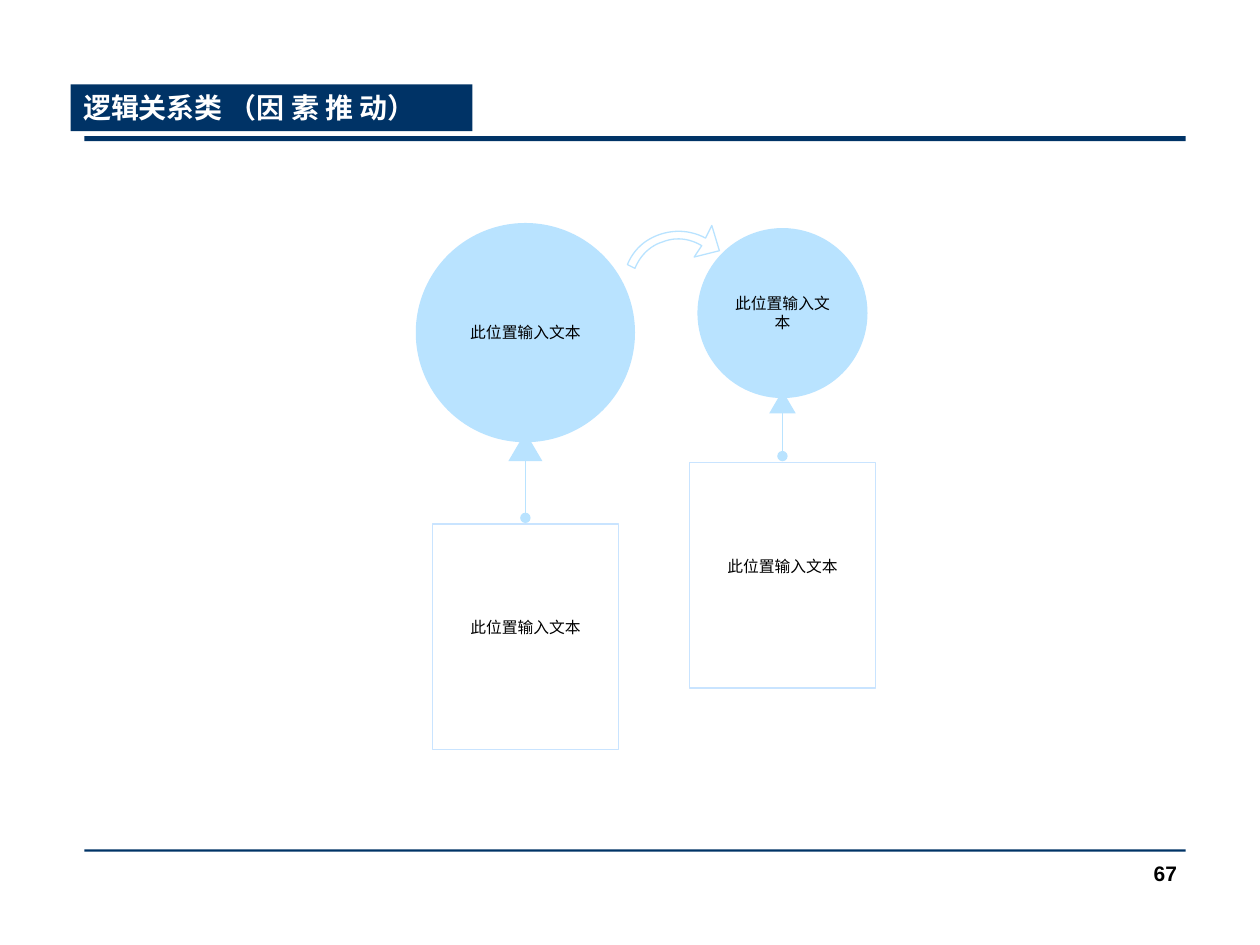
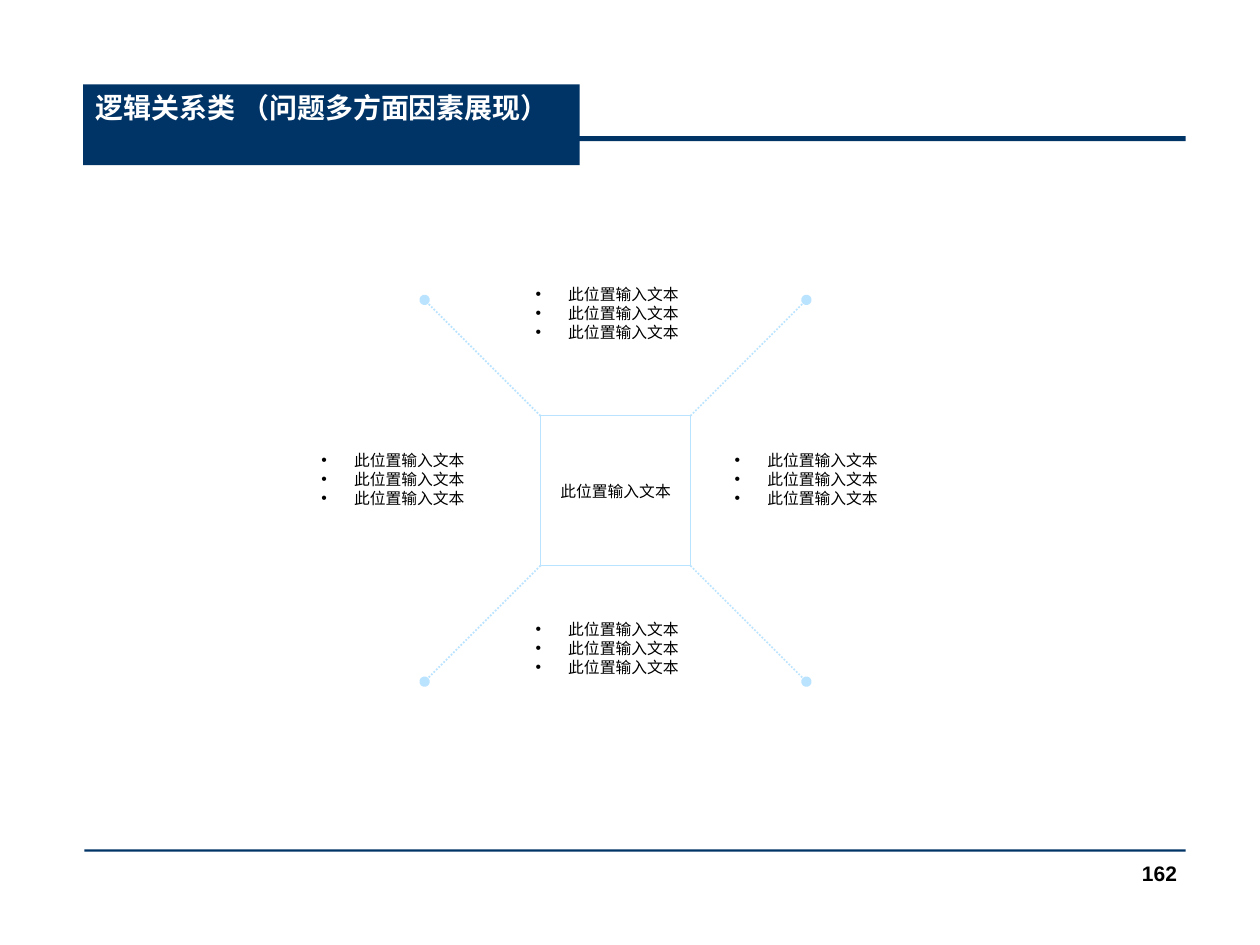
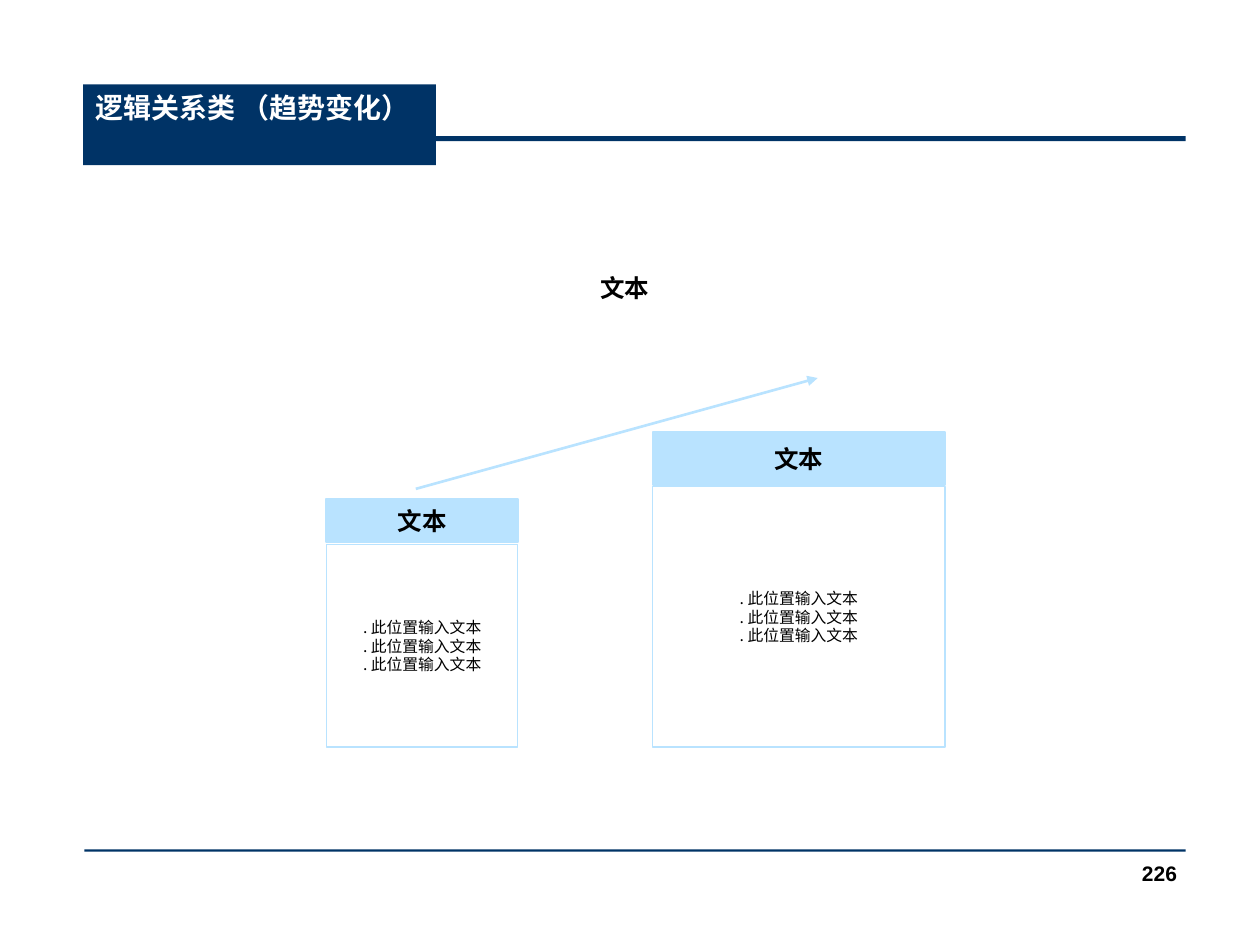
from pptx import Presentation
from pptx.dml.color import RGBColor
from pptx.enum.dml import MSO_LINE
from pptx.enum.shapes import MSO_CONNECTOR, MSO_SHAPE
from pptx.enum.text import MSO_ANCHOR, MSO_AUTO_SIZE, PP_ALIGN
from pptx.oxml.ns import qn
from pptx.util import Pt
from lxml import etree

PX = 9144
NAVY, SKY, PALE = "003366", "B9E3FF", "C9E4FF"
WHITE, BLACK = "FFFFFF", "000000"
LATIN, ASIAN = "Arial", "Noto Sans CJK SC"
LEFT, CENTER, RIGHT = PP_ALIGN.LEFT, PP_ALIGN.CENTER, PP_ALIGN.RIGHT
TOP, MIDDLE = MSO_ANCHOR.TOP, MSO_ANCHOR.MIDDLE
RECT, OVAL, TRIANGLE = MSO_SHAPE.RECTANGLE, MSO_SHAPE.OVAL, MSO_SHAPE.ISOSCELES_TRIANGLE
STRAIGHT = MSO_CONNECTOR.STRAIGHT
DOTTED = MSO_LINE.ROUND_DOT
NO_FIT = MSO_AUTO_SIZE.NONE
TITLE_ONLY, TWO_LISTS, FOUR_LISTS = 5, 3, 4
PROMPT = "此位置输入文本"
HEADING = "文本"


def color(value):
    return RGBColor.from_string(value)


def emu(*lengths):
    return [round(length * PX) for length in lengths]


def curve(start, first, second, end, steps=12):
    points = []
    for step in range(1, steps + 1):
        t = step / steps
        weights = ((1 - t) ** 3, 3 * t * (1 - t) ** 2, 3 * t * t * (1 - t), t ** 3)
        points.append(tuple(sum(w * p[axis] for w, p in zip(weights, (start, first, second, end)))
                            for axis in (0, 1)))
    return points


class Deck:
    def __init__(self):
        self.deck = Presentation()
        self.deck.slide_width, self.deck.slide_height = emu(1000, 750)
        self.page = None

    def start_page(self, layout, title, place, number):
        self.page = self.deck.slides.add_slide(self.deck.slide_layouts[layout])
        if len(self.deck.slides) == 1:
            self.share_bars()
        box = self.page.shapes.title
        self.place(box, place)
        self.paint(box, NAVY)
        self.fill_text(box, title, size=16, ink=WHITE, bold=True, align=LEFT, anchor=TOP)
        self.text((736, 678, 208, 50), number, size=12, bold=True, align=RIGHT, anchor=TOP)

    def share_bars(self):
        for top, height in ((108, 4), (674, 2)):
            bar = self.shape(RECT, (67, top, 874, height), NAVY)
            bar.element.nvSpPr.cNvPr.set("id", str(1000 + top))
            self.deck.slide_master.shapes.element.append(bar.element)

    def place(self, box, place):
        box.left, box.top, box.width, box.height = emu(*place)

    def paint(self, box, fill=None, line=None, width=0.75):
        if fill:
            box.fill.solid()
            box.fill.fore_color.rgb = color(fill)
        else:
            box.fill.background()
        if line:
            box.line.color.rgb = color(line)
            box.line.width = Pt(width)
        else:
            box.line.fill.background()

    def fill_text(self, box, text, size=9, ink=BLACK, bold=False, align=CENTER, anchor=MIDDLE,
                  font=LATIN):
        frame = box.text_frame
        frame.text = text
        frame.word_wrap = True
        frame.auto_size = NO_FIT
        frame.vertical_anchor = anchor
        frame.margin_left, frame.margin_top, frame.margin_right, frame.margin_bottom = emu(10, 5, 10, 5)
        for para in frame.paragraphs:
            para.alignment = align
            for span in para.runs:
                span.font.name = font
                span.font.size = Pt(size)
                span.font.bold = bold
                span.font.color.rgb = color(ink)
                etree.SubElement(span.font._element, qn("a:ea"), typeface=ASIAN)

    def shape(self, kind, place, fill=None, line=None, text=None, width=0.75, **style):
        box = self.page.shapes.add_shape(kind, *emu(*place))
        box.shadow.inherit = False
        self.paint(box, fill, line, width)
        if text:
            self.fill_text(box, text, **style)
        return box

    def text(self, place, text, **style):
        self.fill_text(self.page.shapes.add_textbox(*emu(*place)), text, **style)

    def items(self, index, place, lines, bullet=None, fill=None, line=None, **style):
        box = self.page.placeholders[index]
        self.place(box, place)
        self.paint(box, fill, line)
        self.fill_text(box, "\n".join(lines), **style)
        indent = emu(26)[0] if bullet else 0
        for para in box.text_frame.paragraphs:
            para.line_spacing = Pt(10.8)
            para.space_before = Pt(0)
            props = para._p.get_or_add_pPr()
            props.set("marL", str(indent))
            props.set("indent", str(-indent))
            if bullet:
                etree.SubElement(props, qn("a:buChar"), char=bullet)
            else:
                etree.SubElement(props, qn("a:buNone"))

    def link(self, start, end, tip, width=0.75, dash=None):
        line = self.page.shapes.add_connector(STRAIGHT, *emu(*start, *end))
        line.line.color.rgb = color(SKY)
        line.line.width = Pt(width)
        if dash:
            line.line.dash_style = dash
        etree.SubElement(line.line._get_or_add_ln(), qn("a:tailEnd"), type=tip)
        etree.SubElement(line.element.spPr, qn("a:effectLst"))

    def outline(self, points, fill, line):
        builder = self.page.shapes.build_freeform(*emu(*points[0]), scale=1.0)
        builder.add_line_segments([emu(*point) for point in points[1:]], close=True)
        box = builder.convert_to_shape()
        box.shadow.inherit = False
        self.paint(box, fill, line)


def driving_factors(deck):
    deck.start_page(TITLE_ONLY, "逻辑关系类 （因 素 推 动）", (56, 67, 319, 37), "67")
    outer = [(498, 210)]
    outer += curve(outer[-1], (503, 198), (512, 190), (524, 186))
    outer += curve(outer[-1], (536, 182), (549, 183), (560, 189))
    inner = [(557, 195)]
    inner += curve(inner[-1], (547, 189), (536, 188), (526, 192))
    inner += curve(inner[-1], (516, 195), (508, 203), (504, 213))
    deck.outline(outer + [(565, 179), (571, 199), (551, 204)] + inner, WHITE, SKY)
    factors = (
        (417, 177, 174, 416, (27, 23), 343),
        (621, 181, 135, 367, (21, 18), 310),
    )
    for middle, circle_top, size, card_top, (tip_width, tip_height), tip_top in factors:
        card = deck.shape(RECT, (middle - 74, card_top, 148, 179), WHITE, PALE, PROMPT)
        card.text_frame.margin_bottom = emu(20)[0]
        deck.link((middle, tip_top + tip_height), (middle, card_top - 5), "oval")
        deck.shape(OVAL, (middle - size / 2, circle_top, size, size), SKY, text=PROMPT)
        deck.shape(TRIANGLE, (middle - tip_width / 2, tip_top, tip_width, tip_height), SKY)


def problem_sides(deck):
    deck.start_page(FOUR_LISTS, "逻辑关系类 （问题多方面因素展现）", (66, 67, 394, 64), "162")
    left, top, size, reach = 429, 330, 119, 92
    for x, x_step in ((left, -reach), (left + size, reach)):
        for y, y_step in ((top, -reach), (top + size, reach)):
            deck.link((x, y), (x + x_step, y + y_step), "oval", width=1, dash=DOTTED)
    deck.shape(RECT, (left, top, size, size), line=SKY, text=PROMPT)
    corners = ((415, 221), (415, 487), (245, 353), (573, 353))
    for index, corner in enumerate(corners, start=1):
        deck.items(index, (*corner, 165, 70), [PROMPT] * 3, bullet="•", align=LEFT, anchor=TOP)


def trend(deck):
    deck.start_page(TWO_LISTS, "逻辑关系类 （趋势变化）", (66, 67, 280, 64), "226")
    bottom = 593
    stages = ((259, 152, 396, 34, 432), (518, 232, 343, 42, 386))
    for index, (left, width, head_top, head_height, list_top) in enumerate(stages, start=1):
        deck.shape(RECT, (left, head_top, width, head_height), SKY, SKY, HEADING,
                   width=1, size=14, bold=True)
        deck.items(index, (left, list_top, width, bottom - list_top), [". " + PROMPT] * 3,
                   fill=WHITE, line=SKY, font=ASIAN)
    deck.text((287, 181, 418, 94), HEADING, size=14, bold=True)
    deck.link((330, 388), (649, 300), "triangle", width=1.5)


def main():
    deck = Deck()
    driving_factors(deck)
    problem_sides(deck)
    trend(deck)
    deck.deck.save("out.pptx")


if __name__ == "__main__":
    main()
